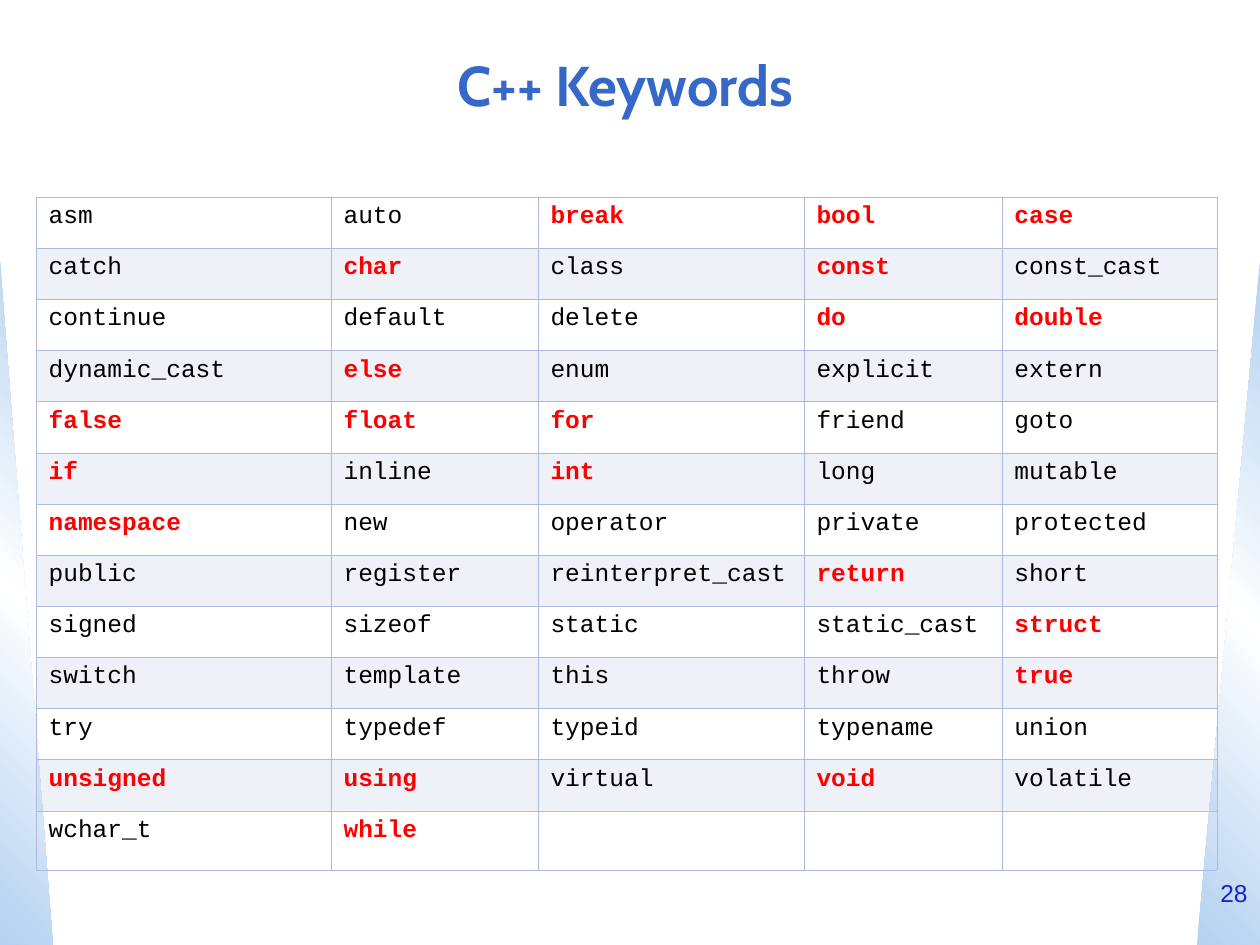
import pptx
import pptx.dml.color
import pptx.enum.shapes
import pptx.enum.text
import pptx.oxml
import pptx.oxml.ns
import pptx.util

PX = 914400 // 126
ALIGN = pptx.enum.text.PP_ALIGN
ANCHOR = pptx.enum.text.MSO_ANCHOR
NAMESPACE = pptx.oxml.ns.nsdecls("a")

GRID_COLOR = "AEB9E0"
COLUMN_WIDTHS = [295, 207, 266, 198, 215]
LAST_ROW_HEIGHT = 59
KEYWORDS = """
asm auto break bool case
catch char class const const_cast
continue default delete do double
dynamic_cast else enum explicit extern
false float for friend goto
if inline int long mutable
namespace new operator private protected
public register reinterpret_cast return short
signed sizeof static static_cast struct
switch template this throw true
try typedef typeid typename union
unsigned using virtual void volatile
wchar_t while
"""
HIGHLIGHTED = set(
    "break bool case char const do double else false float for if int "
    "namespace return struct true unsigned using void while".split()
)


def px(value):
    return pptx.util.Emu(value * PX)


def rgb(value):
    return pptx.dml.color.RGBColor.from_string(value)


def write(frame, text, *, size, font, color, bold=False, align=ALIGN.LEFT, spacing=1.0):
    para = frame.paragraphs[0]
    para.alignment = align
    para.line_spacing = spacing
    span = para.add_run()
    span.text = text
    span.font.size = pptx.util.Pt(size)
    span.font.name = font
    span.font.bold = bold
    span.font.color.rgb = rgb(color)


def add_text(page, left, top, width, height, text, anchor=ANCHOR.TOP, **style):
    box = page.shapes.add_textbox(px(left), px(top), px(width), px(height))
    box.text_frame.word_wrap = True
    box.text_frame.vertical_anchor = anchor
    write(box.text_frame, text, **style)


def add_side_triangle(page, left, width, angle, flipped=False):
    triangle = page.shapes.add_shape(
        pptx.enum.shapes.MSO_SHAPE.RIGHT_TRIANGLE, px(left), px(262), px(width), px(683)
    )
    triangle.shadow.inherit = False
    triangle.line.fill.background()
    triangle.fill.gradient()
    properties = triangle._element.spPr
    if flipped:
        properties.xfrm.set("flipH", "1")
    stops = "".join(
        f'<a:gs pos="{position * 1000}"><a:srgbClr val="{color}"/></a:gs>'
        for position, color in [(0, "B3D1F0"), (50, "FFFFFF"), (100, "B3D1F0")]
    )
    gradient = pptx.oxml.parse_xml(
        f'<a:gradFill {NAMESPACE} rotWithShape="1"><a:gsLst>{stops}</a:gsLst>'
        f'<a:lin ang="{angle * 60000}" scaled="0"/></a:gradFill>'
    )
    properties.replace(properties.find(pptx.oxml.ns.qn("a:gradFill")), gradient)


def format_cell(cell, shaded):
    properties = cell._tc.get_or_add_tcPr()
    for side in "LRTB":
        properties.append(pptx.oxml.parse_xml(
            f'<a:ln{side} {NAMESPACE} w="1397"><a:solidFill>'
            f'<a:srgbClr val="{GRID_COLOR}"/></a:solidFill></a:ln{side}>'
        ))
    if shaded:
        cell.fill.solid()
        cell.fill.fore_color.rgb = rgb(GRID_COLOR)
        color = properties.find(".//" + pptx.oxml.ns.qn("a:solidFill") + "[last()]")
        color = properties[-1][0]
        color.append(pptx.oxml.parse_xml(f'<a:alpha {NAMESPACE} val="20000"/>'))
    else:
        cell.fill.background()


def add_keyword_table(page):
    rows = [line.split() for line in KEYWORDS.strip().splitlines()]
    table = page.shapes.add_table(
        len(rows), len(COLUMN_WIDTHS), px(36), px(197), px(sum(COLUMN_WIDTHS)), px(665)
    ).table
    table.first_row = False
    table.horz_banding = False
    for column, width in zip(table.columns, COLUMN_WIDTHS):
        column.width = px(width)
    table.rows[len(rows) - 1].height = px(LAST_ROW_HEIGHT)
    for row_index, words in enumerate(rows):
        for column_index in range(len(COLUMN_WIDTHS)):
            format_cell(table.cell(row_index, column_index), row_index % 2 == 1)
        for column_index, word in enumerate(words):
            marked = word in HIGHLIGHTED
            write(
                table.cell(row_index, column_index).text_frame, word,
                size=14, font="Courier New", bold=marked,
                color="FF0000" if marked else "000000", spacing=0.92,
            )


def main():
    deck = pptx.Presentation()
    deck.slide_width, deck.slide_height = px(1260), px(945)
    page = deck.slides.add_slide(deck.slide_layouts[6])
    add_side_triangle(page, 0, 53, 315)
    add_side_triangle(page, 1197, 63, 45, flipped=True)
    add_text(page, 32, 32, 1187, 105, "C++ Keywords", anchor=ANCHOR.MIDDLE,
             size=32, font="Cabin", color="3568C7", bold=True, align=ALIGN.CENTER)
    add_keyword_table(page)
    add_text(page, 1197, 872, 63, 73, "28",
             size=14, font="Arial", color="1822CD", align=ALIGN.RIGHT)
    deck.save("out.pptx")


if __name__ == "__main__":
    main()
